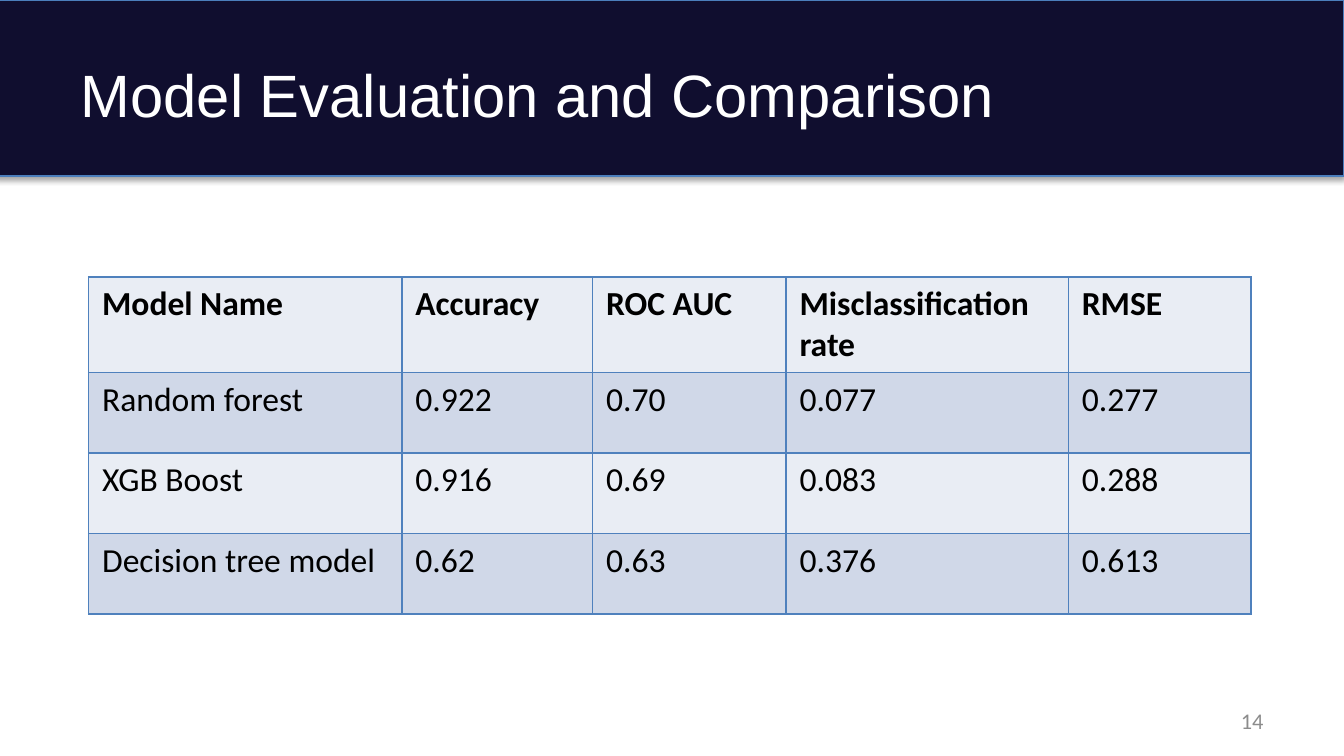
from dataclasses import dataclass

from lxml import etree
from pptx import Presentation
from pptx.dml.color import RGBColor
from pptx.enum.shapes import MSO_SHAPE
from pptx.enum.text import MSO_ANCHOR, PP_ALIGN
from pptx.oxml import parse_xml
from pptx.oxml.ns import nsdecls, qn
from pptx.slide import Slide
from pptx.table import _Cell
from pptx.text.text import _Paragraph
from pptx.util import Inches, Pt

RECT = MSO_SHAPE.RECTANGLE
MIDDLE = MSO_ANCHOR.MIDDLE
LEFT, RIGHT = PP_ALIGN.LEFT, PP_ALIGN.RIGHT
TITLE_ONLY = 5
SLIDE_WIDTH = 10
SLIDE_HEIGHT = SLIDE_WIDTH * 9 / 16


@dataclass(frozen=True)
class TextStyle:
    font: str
    size: int
    color: str
    bold: bool = False


@dataclass(frozen=True)
class Theme:
    band: str = "100E2F"
    band_line: str = "4B7EBC"
    border: str = "4F81BD"
    row_fills: tuple[str, str] = ("E9EDF4", "D0D8E8")
    title: TextStyle = TextStyle("Arial", 32, "FFFFFF")
    header: TextStyle = TextStyle("Calibri", 18, "000000", True)
    body: TextStyle = TextStyle("Calibri", 18, "000000")
    number: TextStyle = TextStyle("Calibri", 12, "8C8C8C")


@dataclass(frozen=True)
class Box:
    left: float
    top: float
    width: float
    height: float

    def lengths(self) -> tuple[int, ...]:
        return tuple(Inches(v) for v in (self.left, self.top, self.width, self.height))


@dataclass(frozen=True)
class Model:
    name: str
    accuracy: str
    roc_auc: str
    misclassification: str
    rmse: str

    def values(self) -> tuple[str, ...]:
        return (self.name, self.accuracy, self.roc_auc, self.misclassification, self.rmse)


THEME = Theme()
COLUMN_WIDTHS = (2.33, 1.42, 1.44, 2.1, 1.36)
ROW_HEIGHT = 0.6
ROWS = (
    Model("Model Name", "Accuracy", "ROC AUC", "Misclassification rate", "RMSE"),
    Model("Random forest", "0.922", "0.70", "0.077", "0.277"),
    Model("XGB Boost", "0.916", "0.69", "0.083", "0.288"),
    Model("Decision tree model", "0.62", "0.63", "0.376", "0.613"),
)


def style_paragraph(p: _Paragraph, style: TextStyle, align: PP_ALIGN = LEFT) -> None:
    p.alignment = align
    p.font.name = style.font
    p.font.size = Pt(style.size)
    p.font.bold = style.bold
    p.font.color.rgb = RGBColor.from_string(style.color)


def add_band(s: Slide, box: Box) -> None:
    """Draw the shadowed title band behind everything else."""
    sp = s.shapes.add_shape(RECT, *box.lengths())
    sp.fill.solid()
    sp.fill.fore_color.rgb = RGBColor.from_string(THEME.band)
    sp.line.color.rgb = RGBColor.from_string(THEME.band_line)
    sp.line.width = Pt(0.75)
    sp.shadow.inherit = False
    effects = sp._element.spPr.find(qn("a:effectLst"))
    effects.append(parse_xml(
        f'<a:outerShdw {nsdecls("a")} blurRad="{Pt(3.1)}" dist="{Pt(1.8)}" '
        'dir="5400000" rotWithShape="0"><a:srgbClr val="000000">'
        '<a:alpha val="35000"/></a:srgbClr></a:outerShdw>'))
    s.shapes._spTree.insert(2, sp._element)


def set_title(s: Slide, text: str, box: Box) -> None:
    sp = s.shapes.title
    sp.left, sp.top, sp.width, sp.height = box.lengths()
    tf = sp.text_frame
    tf.text = text
    tf.vertical_anchor = MIDDLE
    style_paragraph(tf.paragraphs[0], THEME.title)


def set_borders(cell: _Cell) -> None:
    tc_pr = cell._tc.get_or_add_tcPr()
    for i, side in enumerate(("lnL", "lnR", "lnT", "lnB")):
        ln = etree.Element(qn(f"a:{side}"), w=str(Pt(1)))
        fill = etree.SubElement(ln, qn("a:solidFill"))
        etree.SubElement(fill, qn("a:srgbClr"), val=THEME.border)
        tc_pr.insert(i, ln)


def add_model_table(s: Slide, left: float, top: float) -> None:
    box = Box(left, top, sum(COLUMN_WIDTHS), ROW_HEIGHT * len(ROWS))
    table = s.shapes.add_table(len(ROWS), len(COLUMN_WIDTHS), *box.lengths()).table
    for column, width in zip(table.columns, COLUMN_WIDTHS):
        column.width = Inches(width)
    for i, model in enumerate(ROWS):
        style = THEME.body if i else THEME.header
        for j, value in enumerate(model.values()):
            cell = table.cell(i, j)
            cell.text = value
            cell.fill.solid()
            cell.fill.fore_color.rgb = RGBColor.from_string(THEME.row_fills[i % 2])
            set_borders(cell)
            style_paragraph(cell.text_frame.paragraphs[0], style)


def add_page_number(s: Slide, number: int, box: Box) -> None:
    tf = s.shapes.add_textbox(*box.lengths()).text_frame
    tf.word_wrap = True
    tf.vertical_anchor = MIDDLE
    tf.text = str(number)
    style_paragraph(tf.paragraphs[0], THEME.number, RIGHT)


def main() -> None:
    prs = Presentation()
    prs.slide_width, prs.slide_height = Inches(SLIDE_WIDTH), Inches(SLIDE_HEIGHT)
    s = prs.slides.add_slide(prs.slide_layouts[TITLE_ONLY])
    add_band(s, Box(-0.04, 0, 10.04, 1.31))
    set_title(s, "Model Evaluation and Comparison", Box(0.5, 0.23, 9, 0.94))
    add_model_table(s, 0.66, 2.06)
    add_page_number(s, 14, Box(7.17, 5.21, 2.33, 0.3))
    prs.save("out.pptx")


if __name__ == "__main__":
    main()
